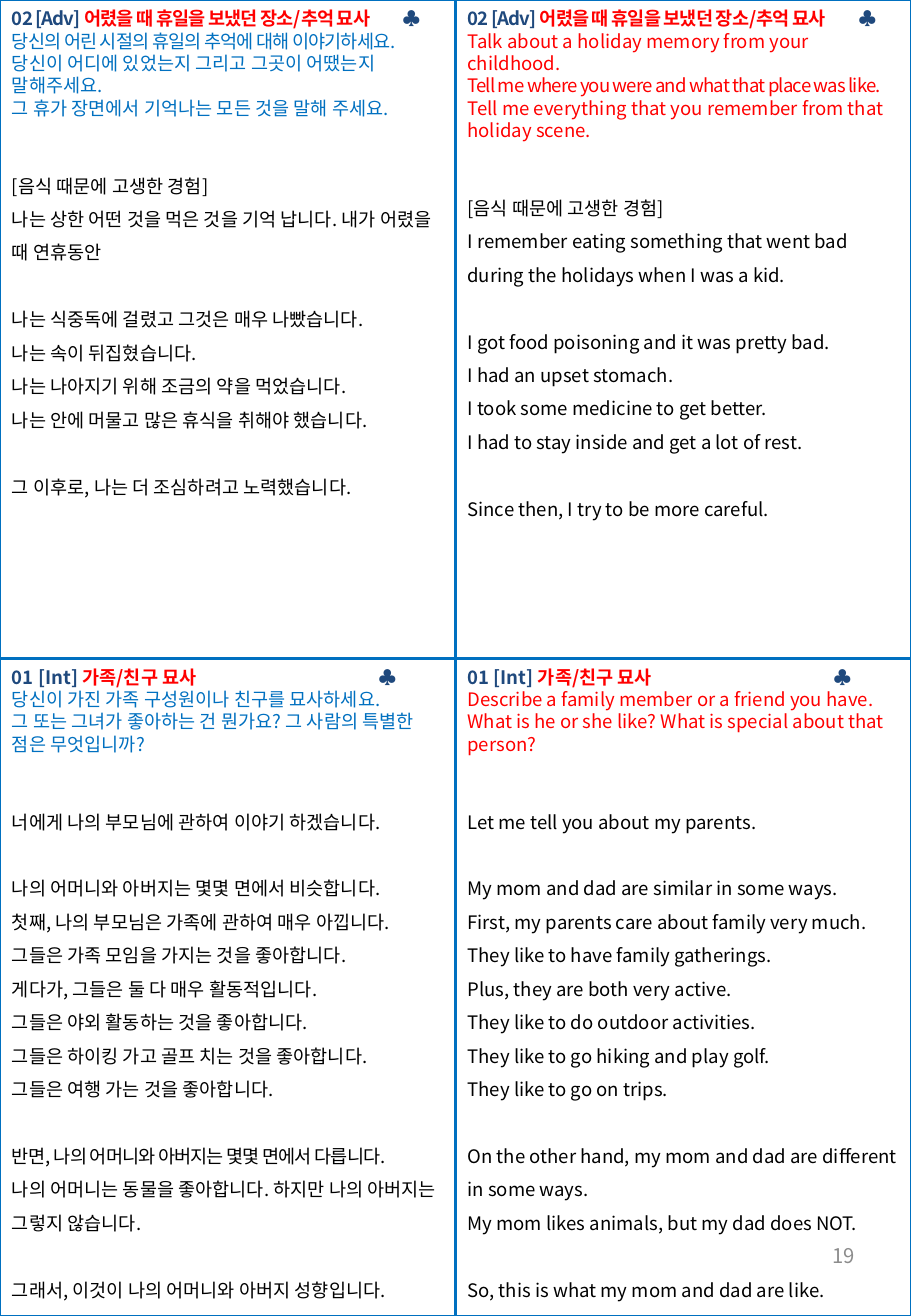
from collections import namedtuple
from dataclasses import dataclass

from lxml.etree import SubElement
from pptx import Presentation
from pptx.dml.color import RGBColor
from pptx.enum.shapes import MSO_CONNECTOR as Connector, MSO_SHAPE as Shape
from pptx.enum.text import MSO_ANCHOR as Anchor, MSO_AUTO_SIZE as AutoSize, PP_ALIGN as Align
from pptx.oxml.ns import qn
from pptx.util import Cm, Pt


@dataclass(frozen=True)
class Theme:
    font: str = "Noto Sans CJK KR"
    rule: str = "0070C0"
    label: str = "1F497D"
    topic: str = "FF0000"
    korean: str = "0070C0"
    english: str = "FF0000"
    answer: str = "000000"
    folio: str = "8C8C8C"
    body_size: float = 11
    folio_size: float = 12
    rule_width: float = 1.5
    prompt_line: float = 13.2
    answer_line: float = 19.8
    answer_gap: float = 26.4


THEME = Theme()
PAGE_WIDTH, PAGE_HEIGHT = Cm(19.05), Cm(27.51)
MIDDLE_X, MIDDLE_Y = PAGE_WIDTH // 2, Cm(13.77)

Phrase = namedtuple("Phrase", "text tracking", defaults=(0,))
Card = namedtuple("Card", "column top height label topic tracking club_at color prompts answers")

HOLIDAY = dict(top=Cm(0.03), height=Cm(10.52), label="02 [Adv] ",
               topic="어렸을 때 휴일을 보냈던 장소/추억 묘사", tracking=-50, club_at=Cm(8.17))
FAMILY = dict(top=Cm(13.79), label="01 [Int] ", topic="가족/친구 묘사",
              tracking=0, club_at=Cm(7.66))
KOREAN = dict(column=0, color=THEME.korean)
ENGLISH = dict(column=1, color=THEME.english)

CARDS = [
    Card(**HOLIDAY, **KOREAN, prompts=[
        [Phrase("당신의 어린 시절의 휴일의 추억에 대해 이야기하세요.\n", -50),
         Phrase("당신이 어디에 있었는지 그리고 그곳이 어땠는지 말해주세요.\n"
                "그 휴가 장면에서 기억나는 모든 것을 말해 주세요.")],
    ], answers=[
        ["[음식 때문에 고생한 경험]",
         "나는 상한 어떤 것을 먹은 것을 기억 납니다. 내가 어렸을 때 연휴동안"],
        ["나는 식중독에 걸렸고 그것은 매우 나빴습니다.",
         "나는 속이 뒤집혔습니다.",
         "나는 나아지기 위해 조금의 약을 먹었습니다.",
         "나는 안에 머물고 많은 휴식을 취해야 했습니다."],
        ["그 이후로, 나는 더 조심하려고 노력했습니다."],
    ]),
    Card(**HOLIDAY, **ENGLISH, prompts=[
        [Phrase("Talk about a holiday memory from your childhood.")],
        [Phrase("Tell me where you were and what that place was like.", -50)],
        [Phrase("Tell me everything that you remember from that holiday scene.")],
    ], answers=[
        ["[음식 때문에 고생한 경험]",
         "I remember eating something that went bad",
         "during the holidays when I was a kid."],
        ["I got food poisoning and it was pretty bad.",
         "I had an upset stomach.",
         "I took some medicine to get better.",
         "I had to stay inside and get a lot of rest."],
        ["Since then, I try to be more careful."],
    ]),
    Card(**FAMILY, **KOREAN, height=Cm(13.56), prompts=[
        [Phrase("당신이 가진 가족 구성원이나 친구를 묘사하세요.\n"
                "그 또는 그녀가 좋아하는 건 뭔가요? 그 사람의 특별한 점은 무엇입니까?")],
    ], answers=[
        ["너에게 나의 부모님에 관하여 이야기 하겠습니다."],
        ["나의 어머니와 아버지는 몇몇 면에서 비슷합니다.",
         "첫째, 나의 부모님은 가족에 관하여 매우 아낍니다.",
         "그들은 가족 모임을 가지는 것을 좋아합니다.",
         "게다가, 그들은 둘 다 매우 활동적입니다.",
         "그들은 야외 활동하는 것을 좋아합니다.",
         "그들은 하이킹 가고 골프 치는 것을 좋아합니다.",
         "그들은 여행 가는 것을 좋아합니다."],
        [Phrase("반면, 나의 어머니와 아버지는 몇몇 면에서 다릅니다.", -50),
         "나의 어머니는 동물을 좋아합니다. 하지만 나의 아버지는 그렇지 않습니다."],
        ["그래서, 이것이 나의 어머니와 아버지 성향입니다."],
    ]),
    Card(**FAMILY, **ENGLISH, height=Cm(14), prompts=[
        [Phrase("Describe a family member or a friend you have.")],
        [Phrase("What is he or she like? What is special about that person?")],
    ], answers=[
        ["Let me tell you about my parents."],
        ["My mom and dad are similar in some ways.",
         "First, my parents care about family very much.",
         "They like to have family gatherings.",
         "Plus, they are both very active.",
         "They like to do outdoor activities.",
         "They like to go hiking and play golf.",
         "They like to go on trips."],
        ["On the other hand, my mom and dad are different in some ways.",
         "My mom likes animals, but my dad does NOT."],
        ["So, this is what my mom and dad are like."],
    ]),
]


def apply(target, values):
    for name, value in values.items():
        setattr(target, name, value)


def style_rule(line):
    line.color.rgb = RGBColor.from_string(THEME.rule)
    line.width = Pt(THEME.rule_width)


def add_rule(slide, *ends):
    rule = slide.shapes.add_connector(Connector.STRAIGHT, *ends)
    style_rule(rule.line)
    SubElement(rule._element.spPr, qn("a:effectLst"))


def add_border(slide):
    border = slide.shapes.add_shape(Shape.RECTANGLE, 0, 0, PAGE_WIDTH, PAGE_HEIGHT)
    border.shadow.inherit = False
    border.fill.background()
    style_rule(border.line)


def write(paragraph, phrase, color, bold=False, size=THEME.body_size):
    for index, text in enumerate(phrase.text.split("\n")):
        if index:
            paragraph.add_line_break()
        if not text:
            continue
        run = paragraph.add_run()
        run.text = text
        apply(run.font, dict(name=THEME.font, size=Pt(size), bold=bold))
        run.font.color.rgb = RGBColor.from_string(color)
        properties = run._r.get_or_add_rPr()
        properties.set("spc", str(phrase.tracking))
        SubElement(properties, qn("a:ea"), typeface=THEME.font)


def add_text_frame(slide, place, **values):
    frame = slide.shapes.add_textbox(*place).text_frame
    apply(frame, dict(word_wrap=True, **values))
    return frame


def write_heading(paragraph, card):
    paragraph.line_spacing = Pt(THEME.prompt_line)
    tabs = SubElement(paragraph._p.get_or_add_pPr(), qn("a:tabLst"))
    SubElement(tabs, qn("a:tab"), pos=str(card.club_at), algn="l")
    for text, color in ((card.label, THEME.label), (card.topic + "\t", THEME.topic),
                        ("♣", THEME.label)):
        write(paragraph, Phrase(text, card.tracking), color, bold=True)


def add_card(slide, card):
    place = card.column * MIDDLE_X, card.top, MIDDLE_X, card.height
    frame = add_text_frame(slide, place, auto_size=AutoSize.SHAPE_TO_FIT_TEXT)
    write_heading(frame.paragraphs[0], card)
    for prompt in card.prompts:
        paragraph = frame.add_paragraph()
        paragraph.line_spacing = Pt(THEME.prompt_line)
        for phrase in prompt:
            write(paragraph, phrase, card.color)
    gap = THEME.answer_gap
    for block in card.answers:
        for sentence in block:
            paragraph = frame.add_paragraph()
            apply(paragraph, dict(line_spacing=Pt(THEME.answer_line), space_before=Pt(gap)))
            phrase = sentence if isinstance(sentence, Phrase) else Phrase(sentence)
            write(paragraph, phrase, THEME.answer)
            gap = 0
        gap = THEME.answer_line


def add_folio(slide):
    place = Cm(13.67), Cm(25.5), Cm(4.45), Cm(1.47)
    frame = add_text_frame(slide, place, vertical_anchor=Anchor.MIDDLE)
    frame.paragraphs[0].alignment = Align.RIGHT
    write(frame.paragraphs[0], Phrase("19"), THEME.folio, size=THEME.folio_size)


def main():
    deck = Presentation()
    apply(deck, dict(slide_width=PAGE_WIDTH, slide_height=PAGE_HEIGHT))
    slide = deck.slides.add_slide(deck.slide_layouts[6])
    add_rule(slide, 0, MIDDLE_Y, PAGE_WIDTH, MIDDLE_Y)
    add_rule(slide, MIDDLE_X, 0, MIDDLE_X, PAGE_HEIGHT)
    add_border(slide)
    add_folio(slide)
    for card in CARDS:
        add_card(slide, card)
    deck.save("out.pptx")


if __name__ == "__main__":
    main()
